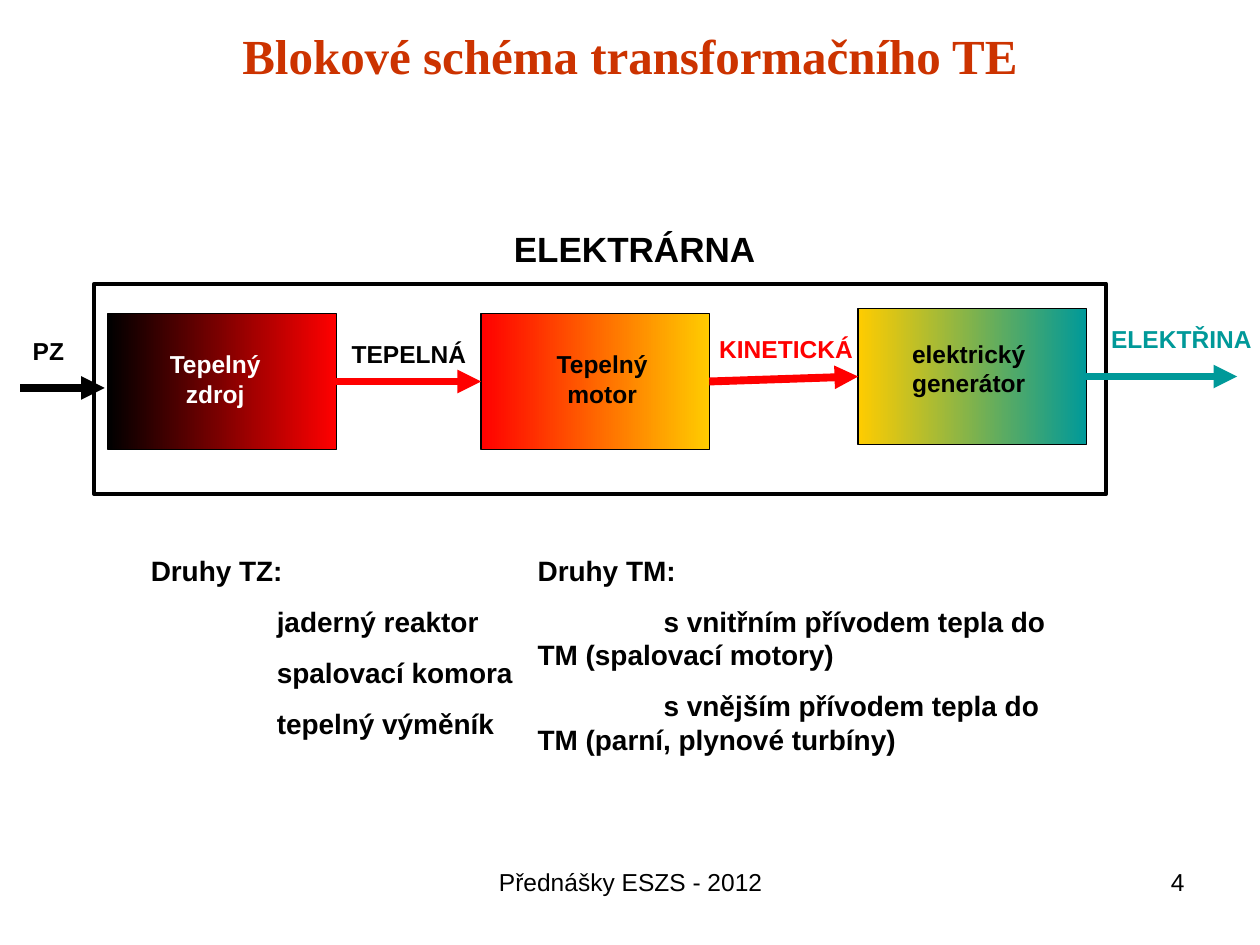
"""Build the slide with the block diagram of a thermal power plant."""
import pptx
import pptx.dml.color
import pptx.enum.shapes
import pptx.enum.text
import pptx.oxml
import pptx.oxml.ns
import pptx.util

Cm = pptx.util.Cm
Pt = pptx.util.Pt
ALIGN = pptx.enum.text.PP_ALIGN
ANCHOR = pptx.enum.text.MSO_ANCHOR
BLACK, WHITE, RED, YELLOW, TEAL = "000000", "FFFFFF", "FF0000", "FFCC00", "009999"
INSETS = (0.25, 0.13)


def rgb(value):
    return pptx.dml.color.RGBColor.from_string(value)


def add_text(slide, box, text, size=14, color=BLACK, bold=True, font="Arial",
             align=ALIGN.LEFT, anchor=ANCHOR.TOP, insets=(0, 0), wrap=False,
             space=0, indent=0):
    tf = slide.shapes.add_textbox(*map(Cm, box)).text_frame
    tf.word_wrap = wrap
    tf.vertical_anchor = anchor
    tf.margin_left = tf.margin_right = Cm(insets[0])
    tf.margin_top = tf.margin_bottom = Cm(insets[1])
    for i, line in enumerate(text.split("\n")):
        p = tf.paragraphs[0] if i == 0 else tf.add_paragraph()
        p.alignment = align
        if i and space:
            p.space_before = Pt(space)
        if i and indent:
            p._p.get_or_add_pPr().set("indent", str(Cm(indent)))
        r = p.add_run()
        r.text = line
        r.font.name = font
        r.font.size = Pt(size)
        r.font.bold = bold
        r.font.color.rgb = rgb(color)


def add_box(slide, box, line_width, gradient=None):
    sp = slide.shapes.add_shape(pptx.enum.shapes.MSO_SHAPE.RECTANGLE, *map(Cm, box))
    sp.shadow.inherit = False
    sp.line.color.rgb = rgb(BLACK)
    sp.line.width = Pt(line_width)
    if gradient:
        sp.fill.gradient()
        sp.fill.gradient_angle = 0
        for stop, color in zip(sp.fill.gradient_stops, gradient):
            stop.color.rgb = rgb(color)
    else:
        sp.fill.background()
    return sp


def add_arrow(slide, color, start=(0, 0), end=(0, 0), source=None, target=None):
    cxn = slide.shapes.add_connector(
        pptx.enum.shapes.MSO_CONNECTOR.STRAIGHT, *map(Cm, start + end))
    if source is not None:
        cxn.begin_connect(source, 3)
    if target is not None:
        cxn.end_connect(target, 1)
    cxn.line.color.rgb = rgb(color)
    cxn.line.width = Pt(4.5)
    qn, make = pptx.oxml.ns.qn, pptx.oxml.parse_xml
    ns = pptx.oxml.ns.nsdecls("a")
    sp_pr = cxn._element.find(qn("p:spPr"))
    sp_pr.find(qn("a:ln")).append(make(f'<a:tailEnd {ns} type="triangle"/>'))
    sp_pr.append(make(f"<a:effectLst {ns}/>"))


def add_diagram(slide):
    add_box(slide, (1.9, 5.72, 20.4, 4.24), 2.25)
    source, motor, generator = [
        add_box(slide, (left, top, 4.6, 2.74), 0.75, colors)
        for left, top, colors in ((2.18, 6.32, (BLACK, RED)),
                                  (9.7, 6.32, (RED, YELLOW)),
                                  (17.3, 6.22, (YELLOW, TEAL)))]
    add_arrow(slide, BLACK, start=(0.41, 7.82), end=(2.11, 7.82))
    add_arrow(slide, RED, source=source, target=motor)
    add_arrow(slide, RED, source=motor, target=generator)
    add_arrow(slide, TEAL, end=(24.94, 7.59), source=generator)

    for box, text, color in (((3.34, 7.04, 2, 1.19), "Tepelný\nzdroj", WHITE),
                             ((11.14, 7.04, 2, 1.19), "Tepelný\nmotor", BLACK),
                             ((18.33, 6.83, 2.4, 1.19), "elektrický\ngenerátor", BLACK)):
        add_text(slide, box, text, color=color, align=ALIGN.CENTER)
    for box, text, color in (((7.09, 6.83, 2.5, 0.58), "TEPELNÁ", BLACK),
                             ((14.5, 6.73, 2.8, 0.58), "KINETICKÁ", RED),
                             ((22.4, 6.53, 2.95, 0.58), "ELEKTŘINA", TEAL)):
        add_text(slide, box, text, color=color)
    add_text(slide, (0.41, 6.65, 1.3, 0.86), "PZ", insets=INSETS)
    add_text(slide, (10.11, 4.45, 5.72, 1.12), "ELEKTRÁRNA", size=20,
             insets=INSETS, wrap=True)


def add_lists(slide):
    sources = "Druhy TZ:\njaderný reaktor\nspalovací komora\ntepelný výměník"
    motors = ("Druhy TM:\ns vnitřním přívodem tepla do TM (spalovací motory)\n"
              "s vnějším přívodem tepla do TM (parní, plynové turbíny)")
    for box, text in (((2.79, 11.02, 8, 4.04), sources),
                      ((10.59, 11.02, 11.02, 4.34), motors)):
        add_text(slide, box, text, size=16, insets=INSETS, wrap=True,
                 space=10, indent=2.54)


def main():
    prs = pptx.Presentation()
    prs.slide_width, prs.slide_height = Cm(25.4), Cm(19.05)
    slide = prs.slides.add_slide(prs.slide_layouts[6])
    add_text(slide, (1.27, 0.43, 22.86, 1.35), "Blokové schéma transformačního TE",
             size=28, color="CC3300", font="Times New Roman", align=ALIGN.CENTER,
             anchor=ANCHOR.MIDDLE, wrap=True)
    add_diagram(slide)
    add_lists(slide)
    for box, text, align in (
            ((8.69, 17.35, 8.05, 1.32), "Přednášky ESZS - 2012", ALIGN.CENTER),
            ((18.21, 17.35, 5.92, 1.32), "4", ALIGN.RIGHT)):
        add_text(slide, box, text, bold=False, align=align, insets=INSETS, wrap=True)
    prs.save("out.pptx")


if __name__ == "__main__":
    main()
